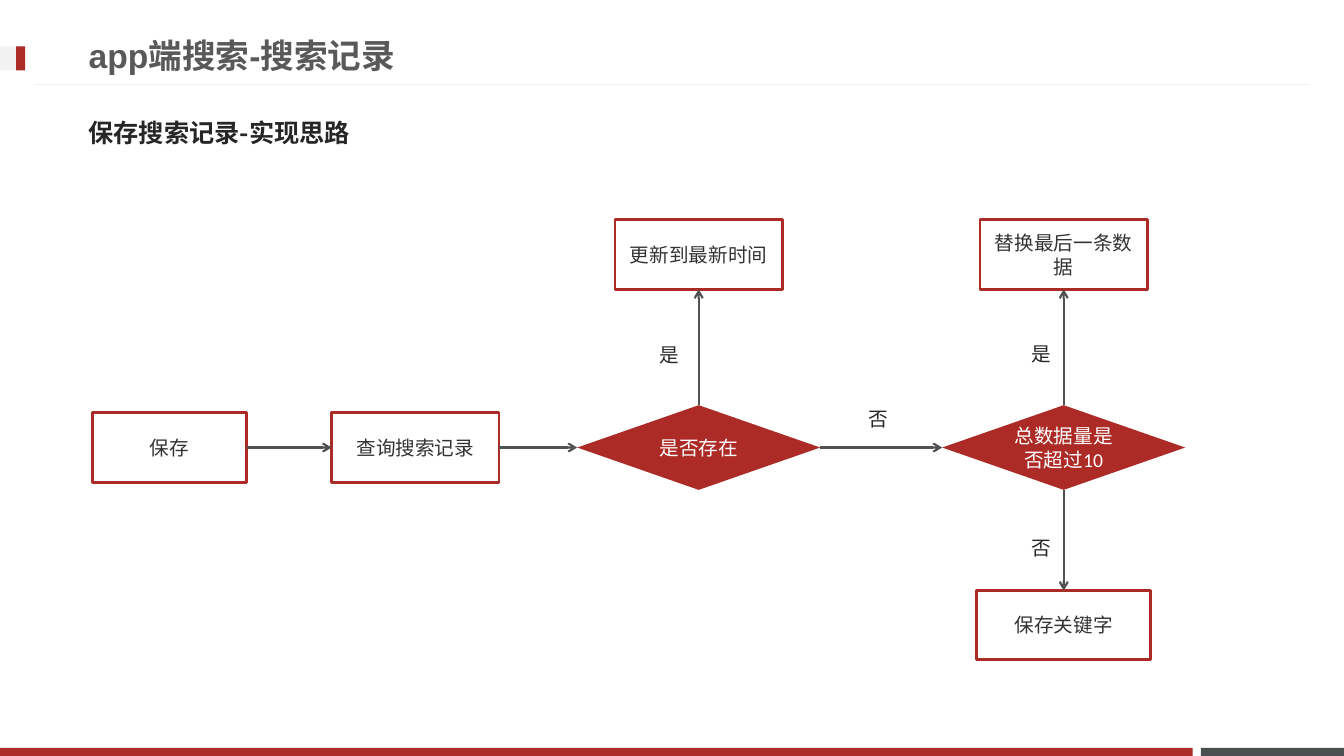
from lxml import etree
from pptx import Presentation
from pptx.dml.color import RGBColor
from pptx.enum import shapes, text
from pptx.oxml.ns import qn
from pptx.util import Inches, Pt

RED = RGBColor(0xAD, 0x2B, 0x26)
SLATE = RGBColor(0x49, 0x50, 0x4F)
PALE = RGBColor(0xF2, 0xF2, 0xF2)
TITLE_GRAY = RGBColor(0x59, 0x59, 0x59)
INK = RGBColor(0x26, 0x26, 0x26)
BOX_TEXT = RGBColor(0x33, 0x33, 0x33)
ARROW_GRAY = RGBColor(0x51, 0x51, 0x51)
WHITE = RGBColor(0xFF, 0xFF, 0xFF)
CJK_FONT = "Noto Sans CJK JP"
TOP, LEFT, BOTTOM, RIGHT = range(4)


def write(shape, words, align, anchor, color, **font_format):
    """Put one formatted paragraph into the shape and return it."""
    frame = shape.text_frame
    frame.word_wrap = True
    frame.vertical_anchor = anchor
    paragraph = frame.paragraphs[0]
    paragraph.alignment = align
    run = paragraph.add_run()
    run.text = words
    for name, value in font_format.items():
        setattr(run.font, name, value)
    run.font.color.rgb = color
    east_asian = etree.SubElement(run.font._element, qn("a:ea"))
    east_asian.set("typeface", CJK_FONT)
    return paragraph


def style_line(connector, color, width):
    connector.line.color.rgb = color
    connector.line.width = Pt(width)
    etree.SubElement(connector._element.spPr, qn("a:effectLst"))


presentation = Presentation()
presentation.slide_width = Inches(13.33)
presentation.slide_height = Inches(7.5)
slide = presentation.slides.add_slide(presentation.slide_layouts[5])

# Page frame
for left, top, width, height, color in [
    (11.91, 7.42, 1.42, 0.08, SLATE),
    (0, 7.42, 11.83, 0.08, RED),
    (0, 0.46, 0.25, 0.24, PALE),
    (0.16, 0.46, 0.09, 0.24, RED),
]:
    bar = slide.shapes.add_shape(
        shapes.MSO_SHAPE.RECTANGLE, Inches(left), Inches(top), Inches(width), Inches(height))
    bar.shadow.inherit = False
    bar.fill.solid()
    bar.fill.fore_color.rgb = color
    bar.line.fill.background()

title_rule = slide.shapes.add_connector(
    shapes.MSO_CONNECTOR.STRAIGHT, Inches(0.35), Inches(0.84), Inches(12.98), Inches(0.84))
style_line(title_rule, PALE, 0.75)

# Headings
title = slide.shapes.title
title.left, title.top, title.width, title.height = map(Inches, (0.78, 0.26, 9.59, 0.57))
write(title, "app端搜索-搜索记录", text.PP_ALIGN.LEFT, text.MSO_ANCHOR.MIDDLE,
      TITLE_GRAY, size=Pt(24), bold=True, name="Arial")

subtitle = slide.shapes.add_textbox(Inches(0.78), Inches(1.03), Inches(11.7), Inches(0.57))
paragraph = write(subtitle, "保存搜索记录-实现思路", text.PP_ALIGN.LEFT, text.MSO_ANCHOR.MIDDLE,
                  INK, size=Pt(18), bold=True, name=CJK_FONT)
paragraph.space_before = Pt(3.6)

# Flowchart steps, placed by their centres
MAIN_ROW, UPPER_ROW, LOWER_ROW = 4.44, 2.525, 6.2
EXISTS_X, LIMIT_X = 6.93, 10.55
nodes = {}
for words, center_x, center_y, width, height, is_decision in [
    ("保存", 1.68, MAIN_ROW, 1.53, 0.69, False),
    ("查询搜索记录", 4.12, MAIN_ROW, 1.66, 0.69, False),
    ("是否存在", EXISTS_X, MAIN_ROW, 2.41, 0.84, True),
    ("总数据量是否超过10", LIMIT_X, MAIN_ROW, 2.41, 0.84, True),
    ("更新到最新时间", EXISTS_X, UPPER_ROW, 1.66, 0.69, False),
    ("替换最后一条数据", LIMIT_X, UPPER_ROW, 1.66, 0.69, False),
    ("保存关键字", LIMIT_X, LOWER_ROW, 1.73, 0.68, False),
]:
    preset = shapes.MSO_SHAPE.FLOWCHART_DECISION if is_decision else shapes.MSO_SHAPE.RECTANGLE
    node = slide.shapes.add_shape(
        preset, Inches(center_x - width / 2), Inches(center_y - height / 2),
        Inches(width), Inches(height))
    node.shadow.inherit = False
    if is_decision:
        node.fill.solid()
        node.fill.fore_color.rgb = RED
        node.line.fill.background()
    else:
        node.fill.background()
        node.line.color.rgb = RED
        node.line.width = Pt(2)
    write(node, words, text.PP_ALIGN.CENTER, text.MSO_ANCHOR.MIDDLE,
          WHITE if is_decision else BOX_TEXT, size=Pt(14), name="Calibri")
    nodes[words] = node

# Arrows between the steps
for start, start_side, end, end_side in [
    ("保存", RIGHT, "查询搜索记录", LEFT),
    ("查询搜索记录", RIGHT, "是否存在", LEFT),
    ("是否存在", RIGHT, "总数据量是否超过10", LEFT),
    ("是否存在", TOP, "更新到最新时间", BOTTOM),
    ("总数据量是否超过10", TOP, "替换最后一条数据", BOTTOM),
    ("总数据量是否超过10", BOTTOM, "保存关键字", TOP),
]:
    arrow = slide.shapes.add_connector(shapes.MSO_CONNECTOR.STRAIGHT, 0, 0, 0, 0)
    arrow.begin_connect(nodes[start], start_side)
    arrow.end_connect(nodes[end], end_side)
    style_line(arrow, ARROW_GRAY, 1.5)
    etree.SubElement(arrow.line._get_or_add_ln(), qn("a:tailEnd")).set("type", "arrow")

# Branch labels
for words, left, top, width in [
    ("是", 6.44, 3.24, 0.49),
    ("是", 10.13, 3.23, 0.42),
    ("否", 8.52, 3.87, 0.62),
    ("否", 10.13, 5.15, 0.54),
]:
    label = slide.shapes.add_textbox(Inches(left), Inches(top), Inches(width), Inches(0.57))
    paragraph = write(label, words, text.PP_ALIGN.LEFT, text.MSO_ANCHOR.TOP,
                      INK, size=Pt(14), name=CJK_FONT)
    paragraph.line_spacing = 1.5
    paragraph.space_before = Pt(2.8)

presentation.save("out.pptx")
